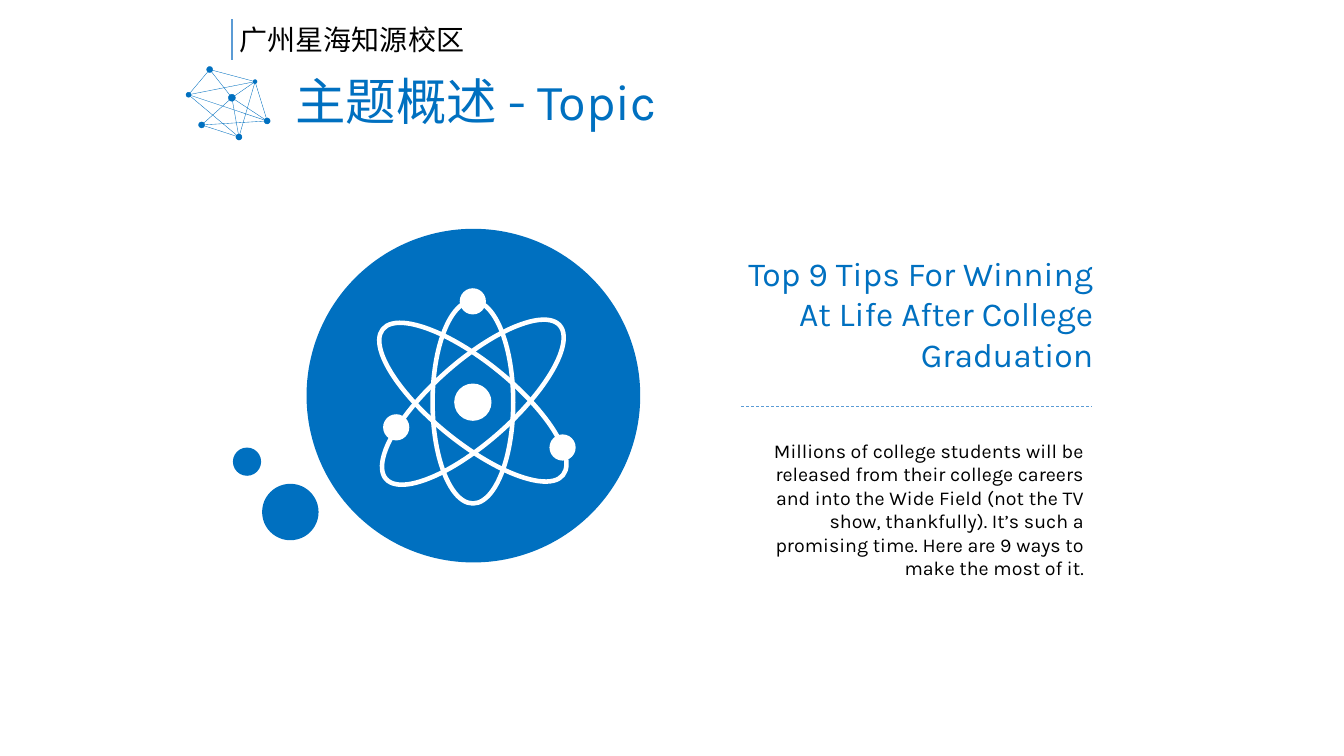
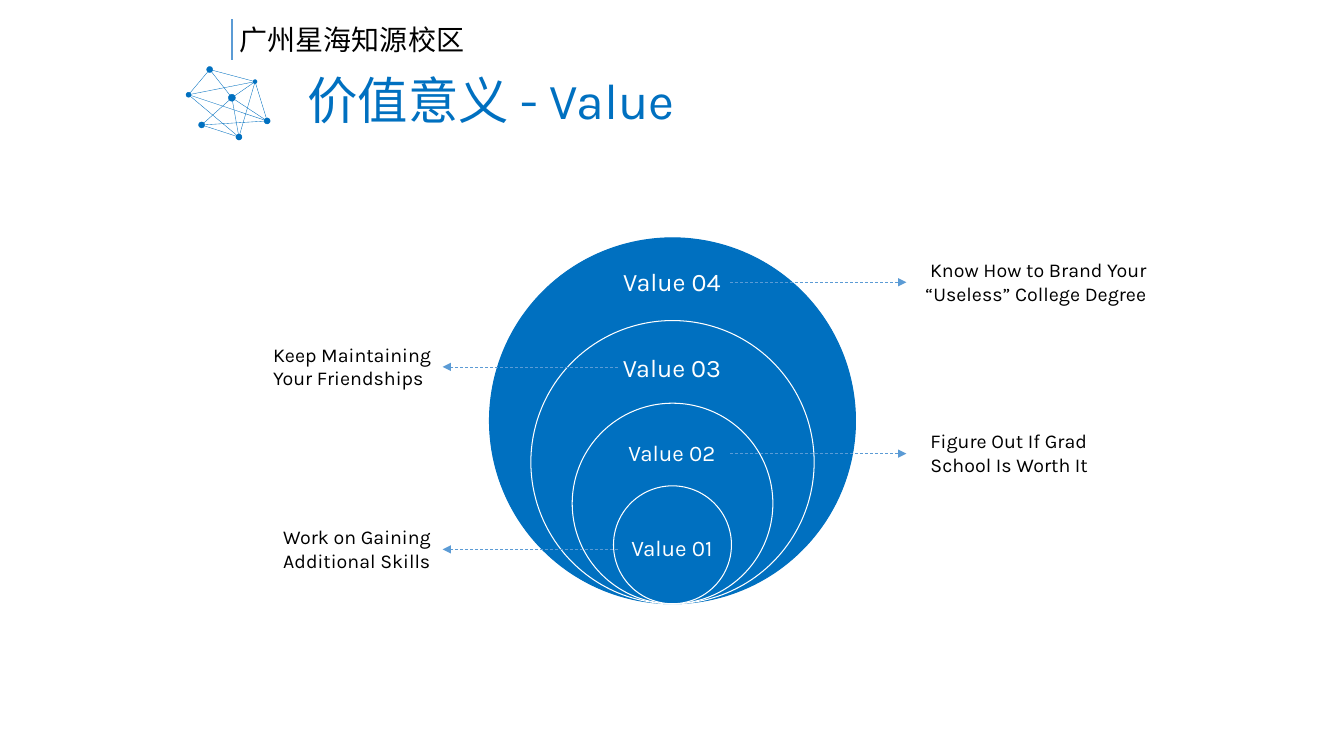
import dataclasses

import lxml.etree
import pptx
import pptx.dml.color
import pptx.enum.dml
import pptx.enum.shapes
import pptx.enum.text
import pptx.oxml
import pptx.oxml.ns
import pptx.util

Inches = pptx.util.Inches
Shape = pptx.enum.shapes.MSO_SHAPE
Align = pptx.enum.text.PP_ALIGN
Anchor = pptx.enum.text.MSO_ANCHOR
qn = pptx.oxml.ns.qn


@dataclasses.dataclass(frozen=True)
class Theme:
    blue: str = "0070C0"
    rule: str = "5B9BD5"
    white: str = "FFFFFF"
    black: str = "000000"
    font: str = "Karla"
    chinese_font: str = "Noto Sans CJK KR"
    title: int = 36
    heading: int = 24
    campus: int = 20
    large_label: int = 18
    small_label: int = 16
    body: int = 14
    hairline: float = 0.25
    thin: float = 0.5
    ring: float = 0.75
    bar: float = 1.5
    orbit: float = 3.25


theme = Theme()


def add_box(slide, frame, kind=None, fill=None, outline=None, width=0, text=None,
            size=theme.body, color=theme.black, font=theme.font,
            align=Align.LEFT, anchor=Anchor.TOP):
    lengths = [Inches(value) for value in frame]
    if kind is None:
        box = slide.shapes.add_textbox(*lengths)
    else:
        box = slide.shapes.add_shape(kind, *lengths)
        box.shadow.inherit = False
        if fill:
            box.fill.solid()
            box.fill.fore_color.rgb = pptx.dml.color.RGBColor.from_string(fill)
        else:
            box.fill.background()
        if outline:
            box.line.color.rgb = pptx.dml.color.RGBColor.from_string(outline)
            box.line.width = pptx.util.Pt(width)
        else:
            box.line.fill.background()
    if text:
        box.text_frame.word_wrap = True
        box.text_frame.vertical_anchor = anchor
        para = box.text_frame.paragraphs[0]
        para.alignment = align
        span = para.add_run()
        span.text = text
        span.font.name = font
        span.font.size = pptx.util.Pt(size)
        span.font.color.rgb = pptx.dml.color.RGBColor.from_string(color)
        east_asian = lxml.etree.SubElement(span.font._element, qn("a:ea"))
        east_asian.set("typeface", theme.chinese_font)
    return box


def add_line(slide, start, end, color, width, dashed=False, arrow=False):
    line = slide.shapes.add_connector(
        pptx.enum.shapes.MSO_CONNECTOR.STRAIGHT,
        *[Inches(value) for value in (*start, *end)])
    line.line.color.rgb = pptx.dml.color.RGBColor.from_string(color)
    line.line.width = pptx.util.Pt(width)
    if dashed:
        line.line.dash_style = pptx.enum.dml.MSO_LINE.DASH
    if arrow:
        tail = lxml.etree.SubElement(line.line._get_or_add_ln(), qn("a:tailEnd"))
        tail.set("type", "triangle")
    lxml.etree.SubElement(line._element.spPr, qn("a:effectLst"))


deck = pptx.Presentation()
deck.slide_width = Inches(13.33)
deck.slide_height = Inches(7.5)

nodes = {
    "top": (2.08, 0.69, 0.06),
    "hub": (2.3, 0.97, 0.07),
    "upper right": (2.53, 0.81, 0.04),
    "lower left": (2, 1.24, 0.06),
    "left": (1.87, 0.94, 0.05),
    "bottom": (2.37, 1.36, 0.06),
    "right": (2.65, 1.2, 0.06),
}
links = [
    ("top", "left"), ("top", "upper right"), ("top", "hub"),
    ("left", "bottom"), ("left", "right"), ("left", "upper right"),
    ("bottom", "upper right"), ("bottom", "hub"), ("bottom", "lower left"),
    ("right", "hub"), ("right", "upper right"), ("right", "lower left"),
    ("hub", "upper right"), ("hub", "lower left"),
]
titles = [
    ("主题概述 - Topic", (2.83, 0.6, 4.66, 0.86)),
    ("价值意义 - Value", (2.95, 0.59, 7.93, 0.86)),
]

for title, frame in titles:
    slide = deck.slides.add_slide(deck.slide_layouts[6])
    for first, second in links:
        add_line(slide, nodes[first][:2], nodes[second][:2], theme.blue, theme.hairline)
    for x, y, diameter in nodes.values():
        add_box(slide, (x - diameter / 2, y - diameter / 2, diameter, diameter),
                Shape.OVAL, theme.blue, theme.blue, theme.hairline)
    title_box = add_box(slide, frame, text=title, size=theme.title, color=theme.blue,
                        anchor=Anchor.MIDDLE)
    title_box.text_frame.paragraphs[0].line_spacing = 0.9
    add_box(slide, (2.28, 0.17, 2.44, 0.44), text="广州星海知源校区",
            size=theme.campus, font=theme.chinese_font)
    add_line(slide, (2.3, 0.19), (2.3, 0.6), theme.rule, theme.bar)

topic, value = deck.slides

for left, top, diameter in [(2.6, 4.8, 0.56), (2.31, 4.44, 0.28), (3.04, 2.27, 3.31)]:
    add_box(topic, (left, top, diameter, diameter), Shape.OVAL, theme.blue)

atom_x, atom_y = 4.69, 3.99
for length, breadth, angle in [(2.01, 0.8, 90), (2.3, 0.8, 39), (2.3, 0.8, -41.5)]:
    orbit = add_box(topic, (atom_x - length / 2, atom_y - breadth / 2, length, breadth),
                    Shape.OVAL, outline=theme.white, width=theme.orbit)
    orbit.rotation = angle
for x, y, diameter in [(atom_x, atom_y, 0.37), (3.93, 4.24, 0.26),
                       (5.58, 4.44, 0.26), (atom_x, 2.99, 0.26)]:
    add_box(topic, (x - diameter / 2, y - diameter / 2, diameter, diameter),
            Shape.OVAL, theme.white)

add_box(topic, (7.24, 2.46, 3.7, 1.31),
        text="Top 9 Tips For Winning At Life After College Graduation",
        size=theme.heading, color=theme.blue, align=Align.RIGHT)
add_line(topic, (7.35, 4.03), (10.83, 4.03), theme.rule, theme.thin, dashed=True)
add_box(topic, (7.24, 4.3, 3.61, 1.28),
        text="Millions of college students will be released from their college careers "
             "and into the Wide Field (not the TV show, thankfully). It’s such a "
             "promising time. Here are 9 ways to make the most of it.",
        align=Align.RIGHT)

circle_x, circle_bottom = 6.67, 5.99
rings = [
    ("Value 04", theme.large_label, 2.43, theme.blue),
    ("Value 03", theme.large_label, 3.28, theme.white),
    ("Value 02", theme.small_label, 4.13, theme.white),
    ("Value 01", theme.small_label, 5.07, theme.white),
]
for index, (label, size, top, outline) in enumerate(rings):
    diameter = 3.63 - 0.82 * index
    add_box(value, (circle_x - diameter / 2, circle_bottom - diameter, diameter, diameter),
            Shape.OVAL, theme.blue, outline, theme.ring)
    add_box(value, (5.86, top, 1.61, 0.73), Shape.ROUNDED_RECTANGLE, text=label,
            size=size, color=theme.white, align=Align.CENTER, anchor=Anchor.MIDDLE)

right_arrow, left_arrow = (7.24, 8.99), (6.13, 4.39)
callouts = [
    (" Know How to Brand Your “Useless” College Degree", 9.08, 2.75, 2.8, right_arrow),
    ("Keep Maintaining Your Friendships", 2.61, 1.94, 3.64, left_arrow),
    ("Figure Out If Grad School Is Worth It", 9.13, 2.09, 4.5, right_arrow),
    ("Work on Gaining Additional Skills", 2.71, 2.13, 5.45, left_arrow),
]
for text, left, width, y, (start, end) in callouts:
    add_line(value, (start, y), (end, y), theme.rule, theme.thin, dashed=True, arrow=True)
    add_box(value, (left, y - 0.29, width, 0.57), text=text)

deck.save("out.pptx")
